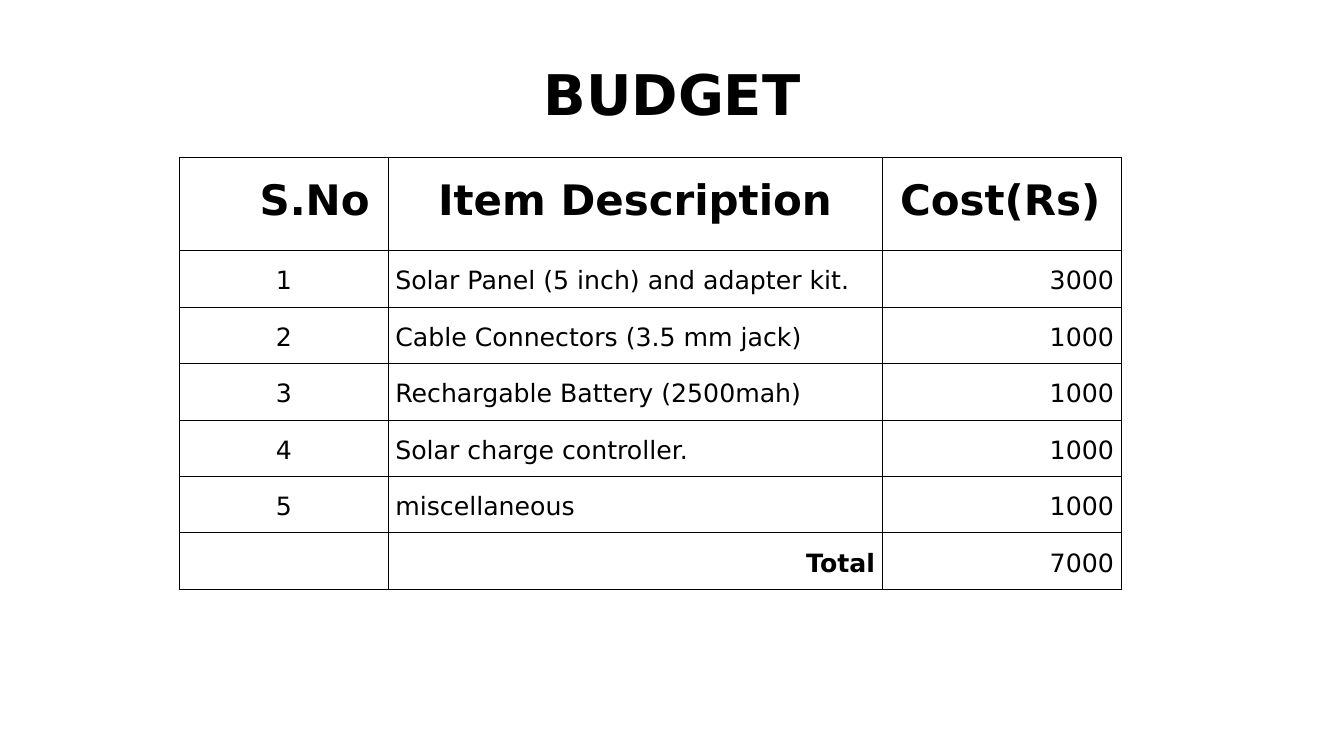
"""Build the budget slide: a title above an itemised cost table."""
from lxml import etree
from pptx import Presentation
from pptx.dml.color import RGBColor
from pptx.enum.text import MSO_ANCHOR, PP_ALIGN
from pptx.oxml.ns import qn
from pptx.util import Pt

LEFT, CENTER, RIGHT = PP_ALIGN.LEFT, PP_ALIGN.CENTER, PP_ALIGN.RIGHT
MIDDLE = MSO_ANCHOR.MIDDLE
BLACK = RGBColor(0, 0, 0)
FONT = "DejaVu Sans"

TITLE = "BUDGET"
HEADINGS = ("S.No", "Item Description", "Cost(Rs)")
ITEMS = [
    ("Solar Panel (5 inch) and adapter kit.", "3000"),
    ("Cable Connectors (3.5 mm jack)", "1000"),
    ("Rechargable Battery (2500mah)", "1000"),
    ("Solar charge controller.", "1000"),
    ("miscellaneous", "1000"),
]
TOTAL = ("", "Total", "7000")

HEADING_ALIGNS = (LEFT, CENTER, LEFT)
HEADING_INDENTS = (52, 0, 7.5)
ITEM_ALIGNS = (CENTER, LEFT, RIGHT)
TOTAL_ALIGNS = (CENTER, RIGHT, RIGHT)

TABLE_LEFT, TABLE_TOP = 128.2, 112.2
COLUMN_WIDTHS = (149, 353, 170.6)
HEADING_HEIGHT, ROW_HEIGHT = 66.8, 39.5
MARGIN_X, MARGIN_Y = 5.2, 7.2
BORDER_WIDTH = 0.75


def style(para, size, bold, align):
    para.alignment = align
    para.font.name = FONT
    para.font.size = Pt(size)
    para.font.bold = bold
    para.font.color.rgb = BLACK


def add_borders(cell):
    properties = cell._tc.get_or_add_tcPr()
    for index, side in enumerate(("a:lnL", "a:lnR", "a:lnT", "a:lnB")):
        line = etree.Element(qn(side), w=str(Pt(BORDER_WIDTH)))
        fill = etree.SubElement(line, qn("a:solidFill"))
        etree.SubElement(fill, qn("a:srgbClr"), val=str(BLACK))
        properties.insert(index, line)


def fill_cell(cell, text, size, bold, align, indent=0):
    cell.margin_left = cell.margin_right = Pt(MARGIN_X)
    cell.margin_top = cell.margin_bottom = Pt(MARGIN_Y)
    cell.fill.background()
    add_borders(cell)
    cell.text = text
    para = cell.text_frame.paragraphs[0]
    style(para, size, bold, align)
    para.line_spacing = 1.2
    if indent:
        para._p.get_or_add_pPr().set("marL", str(Pt(indent)))


def add_title(page):
    box = page.shapes.add_textbox(Pt(48), Pt(21.6), Pt(864), Pt(90))
    frame = box.text_frame
    frame.word_wrap = True
    frame.vertical_anchor = MIDDLE
    frame.text = TITLE
    style(frame.paragraphs[0], 40, True, CENTER)


def add_budget(page):
    rows = [(str(number), *item) for number, item in enumerate(ITEMS, 1)] + [TOTAL]
    heights = [HEADING_HEIGHT] + [ROW_HEIGHT] * len(rows)
    table = page.shapes.add_table(
        len(heights), len(HEADINGS), Pt(TABLE_LEFT), Pt(TABLE_TOP),
        Pt(sum(COLUMN_WIDTHS)), Pt(sum(heights))).table
    table.first_row = table.horz_banding = False
    for column, width in zip(table.columns, COLUMN_WIDTHS):
        column.width = Pt(width)
    for row, height in zip(table.rows, heights):
        row.height = Pt(height)

    for column, text in enumerate(HEADINGS):
        fill_cell(table.cell(0, column), text, 30, True,
                  HEADING_ALIGNS[column], HEADING_INDENTS[column])
    for row, values in enumerate(rows, 1):
        aligns = TOTAL_ALIGNS if values is TOTAL else ITEM_ALIGNS
        for column, text in enumerate(values):
            bold = values is TOTAL and column == 1
            fill_cell(table.cell(row, column), text, 18, bold, aligns[column])


def main():
    deck = Presentation()
    deck.slide_width, deck.slide_height = Pt(960), Pt(540)
    page = deck.slides.add_slide(deck.slide_layouts[6])
    add_title(page)
    add_budget(page)
    deck.save("out.pptx")


if __name__ == "__main__":
    main()
